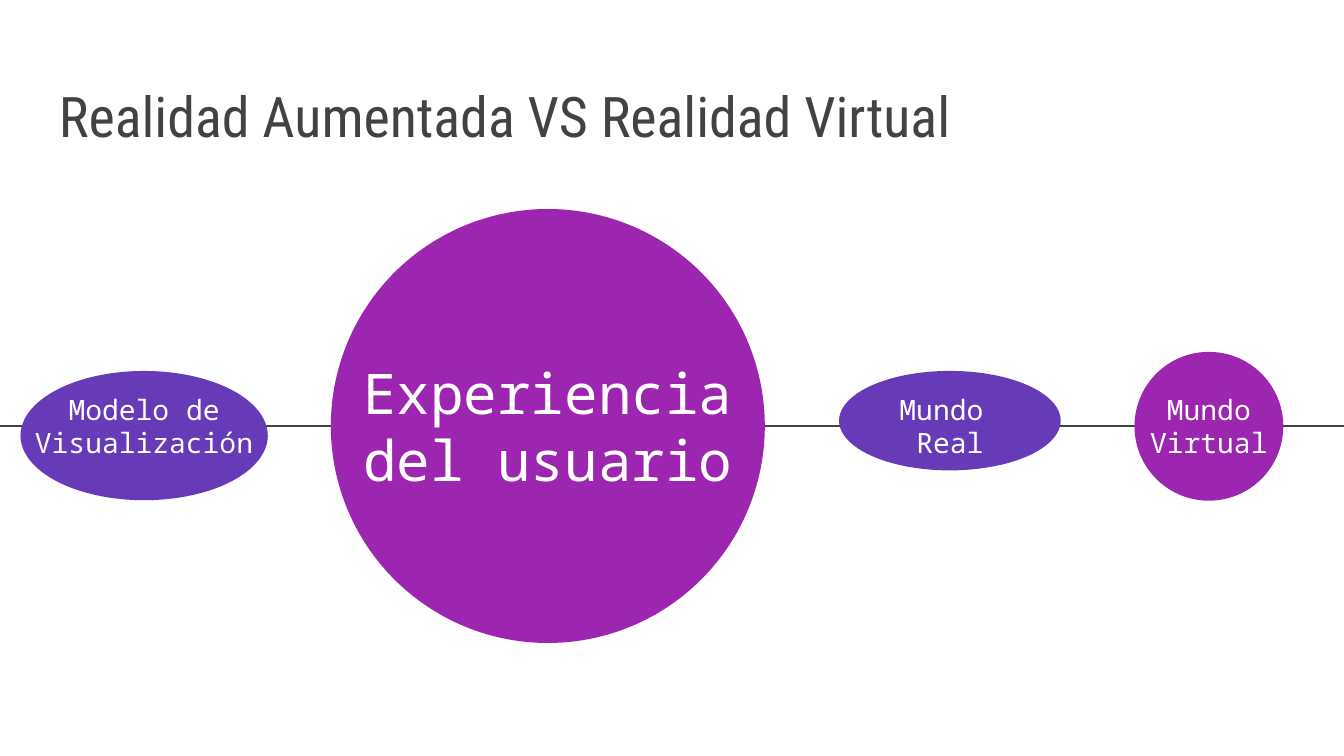
from dataclasses import dataclass

from lxml import etree
from pptx import Presentation
from pptx.dml.color import RGBColor
from pptx.enum import shapes, text
from pptx.oxml import ns
from pptx.util import Pt


@dataclass(frozen=True)
class Theme:
    ink: str = "424242"
    white: str = "FFFFFF"
    violet: str = "673AB7"
    purple: str = "9C26B0"
    head: str = "Roboto Condensed"
    mono: str = "Noto Sans Mono"
    large: float = 30
    small: float = 15
    inset: float = 7.2
    stroke: float = 1.5


@dataclass(frozen=True)
class Box:
    left: float
    top: float
    width: float
    height: float

    def pts(self) -> tuple:
        return Pt(self.left), Pt(self.top), Pt(self.width), Pt(self.height)


@dataclass(frozen=True)
class Style:
    face: str
    size: float
    color: str
    align: text.PP_ALIGN
    anchor: text.MSO_ANCHOR


@dataclass(frozen=True)
class Node:
    lines: tuple[str, ...]
    oval: Box
    fill: str
    size: float


THEME = Theme()
WIDTH, HEIGHT = 720, 405
AXIS = 228.25
LABEL_TOP, LABEL_HEIGHT = 204.5, 47.5

NODES = (
    Node(("Modelo de Visualización",), Box(11, 198.75, 132.5, 69.25),
         THEME.violet, THEME.small),
    Node(("Experiencia del usuario",), Box(177.25, 112, 232.5, 232.5),
         THEME.purple, THEME.large),
    Node(("Mundo ", "Real"), Box(449.5, 198.75, 118.75, 53.25),
         THEME.violet, THEME.small),
    Node(("Mundo Virtual",), Box(607.75, 188.5, 79.75, 79.75),
         THEME.purple, THEME.small),
)


def add_text(slide, box: Box, lines: tuple[str, ...], style: Style) -> None:
    frame = slide.shapes.add_textbox(*box.pts()).text_frame
    frame.word_wrap = True
    frame.vertical_anchor = style.anchor
    frame.margin_left = frame.margin_right = Pt(THEME.inset)
    frame.margin_top = frame.margin_bottom = Pt(THEME.inset)
    for index, line in enumerate(lines):
        para = frame.add_paragraph() if index else frame.paragraphs[0]
        para.alignment = style.align
        run = para.add_run()
        run.text = line
        run.font.name = style.face
        run.font.size = Pt(style.size)
        run.font.color.rgb = RGBColor.from_string(style.color)


def add_axis(slide) -> None:
    line = slide.shapes.add_connector(
        shapes.MSO_CONNECTOR.STRAIGHT, Pt(0), Pt(AXIS), Pt(WIDTH), Pt(AXIS))
    line.line.color.rgb = RGBColor.from_string(THEME.ink)
    line.line.width = Pt(THEME.stroke)
    etree.SubElement(line._element.spPr, ns.qn("a:effectLst"))


def add_node(slide, node: Node) -> None:
    oval = slide.shapes.add_shape(shapes.MSO_SHAPE.OVAL, *node.oval.pts())
    oval.shadow.inherit = False
    oval.fill.solid()
    oval.fill.fore_color.rgb = RGBColor.from_string(node.fill)
    oval.line.fill.background()
    label = Box(node.oval.left, LABEL_TOP, node.oval.width, LABEL_HEIGHT)
    style = Style(THEME.mono, node.size, THEME.white,
                  text.PP_ALIGN.CENTER, text.MSO_ANCHOR.MIDDLE)
    add_text(slide, label, node.lines, style)


def main() -> None:
    deck = Presentation()
    deck.slide_width, deck.slide_height = Pt(WIDTH), Pt(HEIGHT)
    slide = deck.slides.add_slide(deck.slide_layouts[6])

    # Line behind the ovals
    add_axis(slide)

    # Title
    style = Style(THEME.head, THEME.large, THEME.ink,
                  text.PP_ALIGN.LEFT, text.MSO_ANCHOR.BOTTOM)
    add_text(slide, Box(24.5, 29.5, 671, 57.5),
             ("Realidad Aumentada VS Realidad Virtual",), style)

    # Ovals with their labels
    for node in NODES:
        add_node(slide, node)

    deck.save("out.pptx")


if __name__ == "__main__":
    main()
